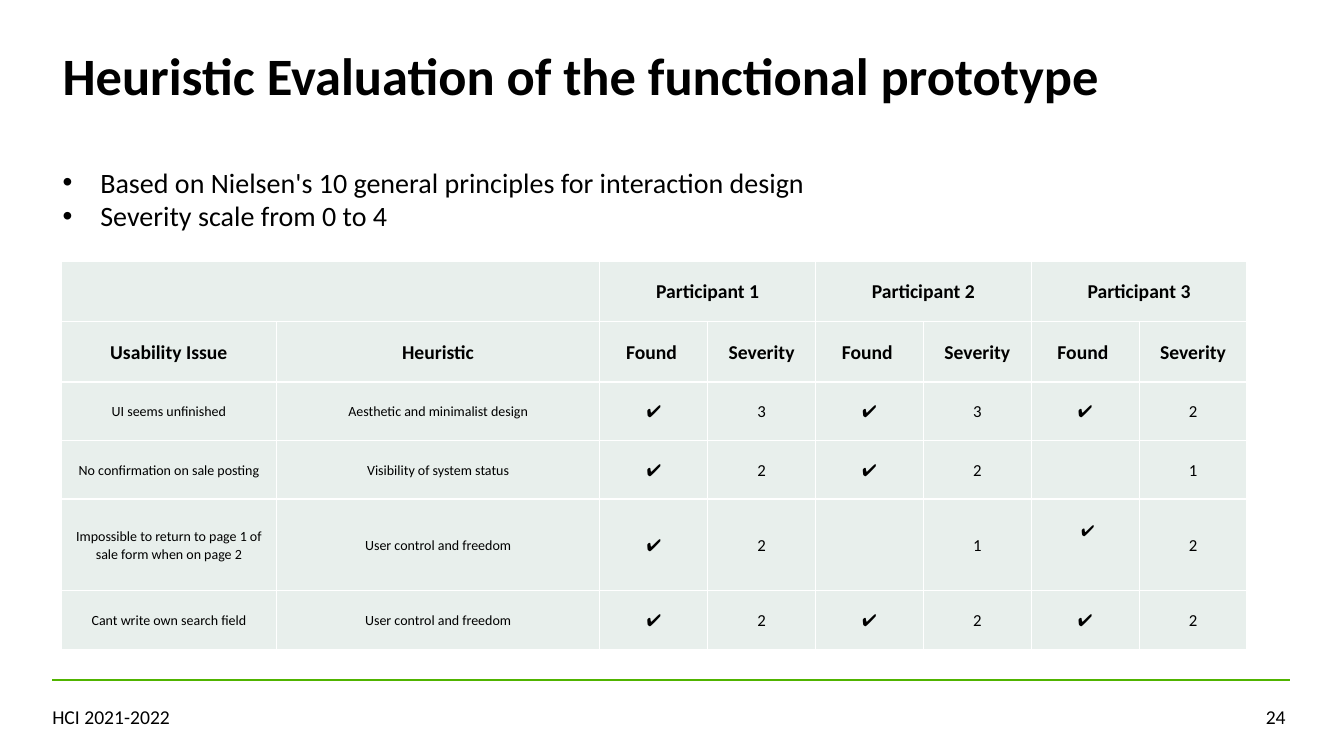
"""Build the heuristic evaluation slide."""
from lxml import etree
from pptx import Presentation
from pptx.dml.color import RGBColor
from pptx.enum import shapes, text
from pptx.oxml import ns
from pptx.util import Inches, Pt

FONT = "Calibri"
BLACK, GREEN, PALE, WHITE = "000000", "50B400", "E8EFEC", "FFFFFF"
TITLE = "Heuristic Evaluation of the functional prototype"
POINTS = [
    "Based on Nielsen's 10 general principles for interaction design",
    "Severity scale from 0 to 4",
]
FOOTERS = [
    ("HCI 2021-2022", 0.42, 2.92, text.PP_ALIGN.LEFT),
    ("24", 12.05, 0.8, text.PP_ALIGN.RIGHT),
]
PARTICIPANTS = ["Participant 1", "Participant 2", "Participant 3"]
HEADINGS = ["Usability Issue", "Heuristic"] + ["Found ", "Severity"] * 3
ISSUES = [
    ["UI seems unfinished", "Aesthetic and minimalist design", "✔", "3", "✔", "3", "✔", "2"],
    ["No confirmation on sale posting", "Visibility of system status", "✔", "2", "✔", "2", "", "1"],
    ["Impossible to return to page 1 of sale form when on page 2", "User control and freedom",
     "✔", "2", "", "1", "✔", "2"],
    ["Cant write own search field", "User control and freedom", "✔", "2", "✔", "2", "✔", "2"],
]
COLUMN_WIDTHS = [2.13, 3.21] + [1.07] * 6
ROW_HEIGHTS = [0.6, 0.6, 0.58, 0.58, 0.91, 0.58]
RAISED_TICK = (4, 6)


def color(value):
    return RGBColor.from_string(value)


def place(shape, left, top, width, height):
    shape.left, shape.top = Inches(left), Inches(top)
    shape.width, shape.height = Inches(width), Inches(height)


def write(para, words, size, bold=False, align=text.PP_ALIGN.LEFT):
    para.alignment = align
    para.space_before = Pt(0)
    span = para.add_run()
    span.text = words
    span.font.name, span.font.size, span.font.bold = FONT, Pt(size), bold
    span.font.color.rgb = color(BLACK)


def style_cell(cell):
    properties = cell._tc.get_or_add_tcPr()
    for side in ("a:lnL", "a:lnR", "a:lnT", "a:lnB"):
        border = etree.SubElement(properties, ns.qn(side), w=str(Pt(1)))
        fill = etree.SubElement(border, ns.qn("a:solidFill"))
        etree.SubElement(fill, ns.qn("a:srgbClr"), val=WHITE)
    cell.fill.solid()
    cell.fill.fore_color.rgb = color(PALE)
    cell.vertical_anchor = text.MSO_ANCHOR.MIDDLE
    cell.margin_left = cell.margin_right = Inches(0.07)
    cell.margin_top = cell.margin_bottom = 0


def add_findings(page):
    top_row = ["", ""]
    for participant in PARTICIPANTS:
        top_row += [participant, ""]
    rows = [top_row, HEADINGS] + ISSUES
    frame = page.shapes.add_table(
        len(rows), len(HEADINGS), Inches(0.61), Inches(2.59),
        Inches(sum(COLUMN_WIDTHS)), Inches(sum(ROW_HEIGHTS)))
    table = frame.table
    table.first_row = table.horz_banding = False
    for column, width in zip(table.columns, COLUMN_WIDTHS):
        column.width = Inches(width)
    for r, row in enumerate(rows):
        table.rows[r].height = Inches(ROW_HEIGHTS[r])
        for c, words in enumerate(row):
            cell = table.cell(r, c)
            style_cell(cell)
            size = 14 if r < 2 else 10 if c < 2 else 12
            if (r, c) == RAISED_TICK:
                size = 11
                cell.margin_left, cell.margin_bottom = Inches(0.12), Inches(0.28)
            if words:
                para = cell.text_frame.paragraphs[0]
                para.line_spacing = 1.07
                write(para, words, size, r < 2, text.PP_ALIGN.CENTER)
    for c in range(0, len(HEADINGS), 2):
        table.cell(0, c).merge(table.cell(0, c + 1))


def main():
    deck = Presentation()
    deck.slide_width, deck.slide_height = Inches(13.33), Inches(7.5)
    page = deck.slides.add_slide(deck.slide_layouts[1])

    title = page.shapes.title
    place(title, 0.52, 0.49, 12.28, 0.6)
    title.text_frame.auto_size = text.MSO_AUTO_SIZE.NONE
    title.text_frame.vertical_anchor = text.MSO_ANCHOR.BOTTOM
    heading = title.text_frame.paragraphs[0]
    heading.line_spacing = 0.7
    write(heading, TITLE, 37.5, True)

    body = page.placeholders[1]
    place(body, 0.52, 1.59, 12.15, 0.9)
    body.text_frame.auto_size = text.MSO_AUTO_SIZE.NONE
    for i, point in enumerate(POINTS):
        para = body.text_frame.add_paragraph() if i else body.text_frame.paragraphs[0]
        write(para, point, 20)

    add_findings(page)

    rule = page.shapes.add_connector(
        shapes.MSO_CONNECTOR.STRAIGHT, Inches(0.52), Inches(6.75), Inches(12.79), Inches(6.75))
    rule.line.color.rgb = color(GREEN)
    rule.line.width = Pt(1.5)
    etree.SubElement(rule._element.spPr, ns.qn("a:effectLst"))

    for words, left, width, align in FOOTERS:
        box = page.shapes.add_textbox(Inches(left), Inches(6.94), Inches(width), Inches(0.34))
        box.text_frame.word_wrap = True
        write(box.text_frame.paragraphs[0], words, 14, align=align)

    deck.save("out.pptx")


if __name__ == "__main__":
    main()
